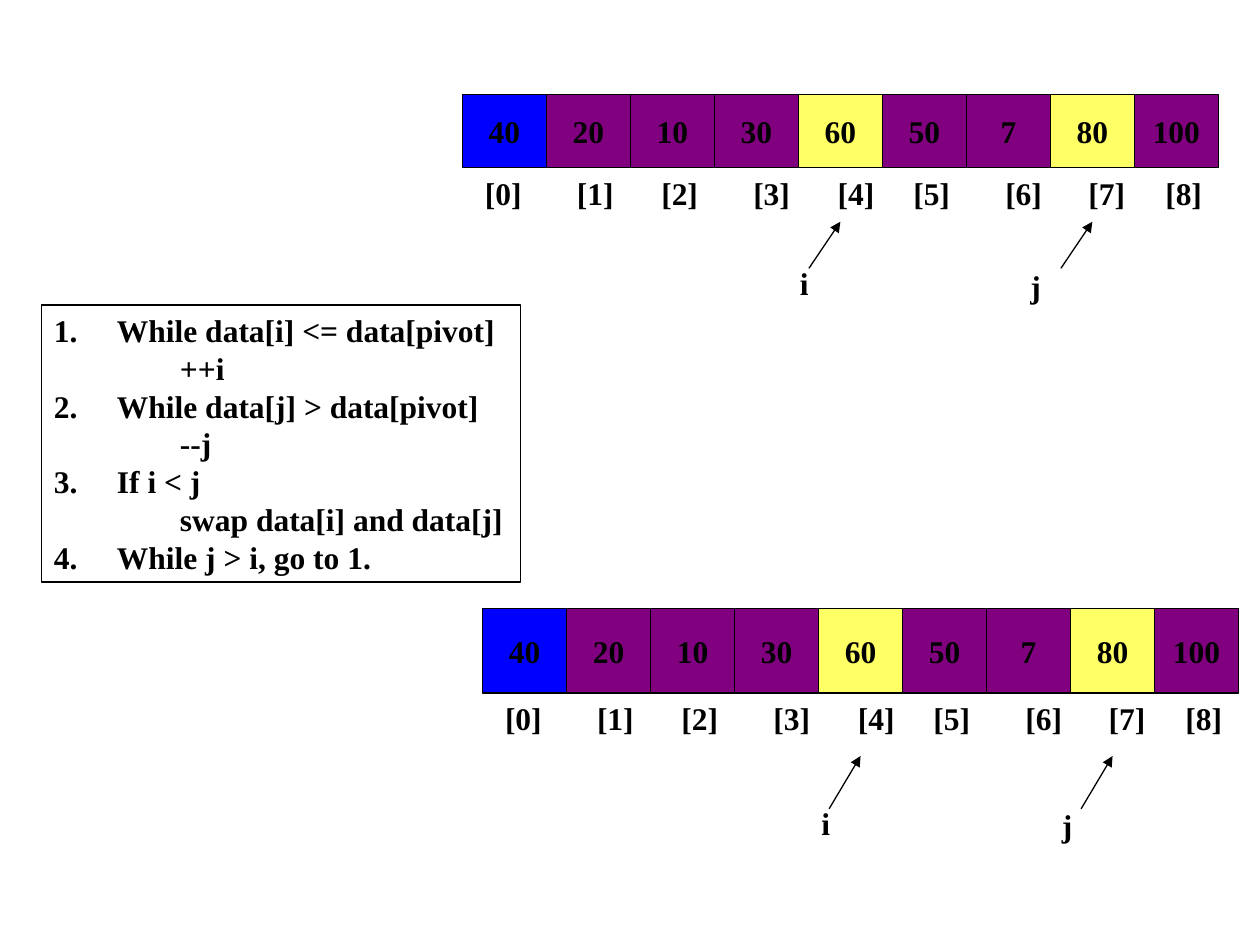
import pptx
import pptx.dml.color
import pptx.enum.shapes
import pptx.enum.text
import pptx.oxml.ns
import pptx.util
from lxml import etree

Inches = pptx.util.Inches
RECTANGLE = pptx.enum.shapes.MSO_SHAPE.RECTANGLE
ALIGN = pptx.enum.text.PP_ALIGN
ANCHOR = pptx.enum.text.MSO_ANCHOR

VALUES = ["40", "20", "10", "30", "60", "50", "7", "80", "100"]
PIVOT = 0
POINTERS = {"i": 4, "j": 7}
STEPS = [
    (0, "While data[i] <= data[pivot]"),
    (1, "++i"),
    (0, "While data[j] > data[pivot]"),
    (1, "--j"),
    (0, "If i < j"),
    (1, "swap data[i] and data[j]"),
    (0, "While j > i, go to 1."),
]
# name_at: left and top of each pointer's name
ARRAYS = [
    {"left": 3.67, "top": 0.75, "height": 0.58, "index_left": 3.75,
     "arrow_from": 2.13, "arrow_to": 1.76,
     "name_at": {"i": (6.25, 2.05), "j": (8.08, 2.07)}},
    {"left": 3.83, "top": 4.83, "height": 0.67, "index_left": 3.91,
     "arrow_from": 6.42, "arrow_to": 6.0,
     "name_at": {"i": (6.42, 6.33), "j": (8.33, 6.35)}},
]
INDEX_TABS = [0.73, 1.4, 2.13, 2.8, 3.4, 4.13, 4.79, 5.4]
CELL_WIDTH = 2 / 3
ARROW_RUN = 0.25
BLACK, BLUE, PURPLE, YELLOW = "000000", "0000FF", "800080", "FFFF66"
FONT = {"name": "Times New Roman", "size": pptx.util.Pt(18), "bold": True}


def rgb(color):
    return pptx.dml.color.RGBColor.from_string(color)


def add_xml(parent, tag, **attributes):
    return etree.SubElement(parent, pptx.oxml.ns.qn(tag), attributes)


def set_font(paragraph):
    for key, value in FONT.items():
        setattr(paragraph.font, key, value)
    paragraph.font.color.rgb = rgb(BLACK)


def outline(shape):
    shape.line.color.rgb = rgb(BLACK)
    shape.line.width = pptx.util.Pt(0.75)


def add_label(shapes, text, left, top, width, tabs=()):
    frame = shapes.add_textbox(Inches(left), Inches(top), Inches(width), Inches(0.4)).text_frame
    frame.word_wrap = True
    paragraph = frame.paragraphs[0]
    paragraph.text = text
    if tabs:
        frame.margin_right = 0
        stops = add_xml(paragraph._p.get_or_add_pPr(), "a:tabLst")
        for stop in tabs:
            add_xml(stops, "a:tab", pos=str(Inches(stop)), algn="l")
    set_font(paragraph)


def add_cell(shapes, index, value, array):
    left = array["left"] + index * CELL_WIDTH
    cell = shapes.add_shape(RECTANGLE, Inches(left), Inches(array["top"]),
                            Inches(CELL_WIDTH), Inches(array["height"]))
    cell.shadow.inherit = False
    cell.fill.solid()
    color = BLUE if index == PIVOT else YELLOW if index in POINTERS.values() else PURPLE
    cell.fill.fore_color.rgb = rgb(color)
    outline(cell)
    frame = cell.text_frame
    frame.word_wrap = False
    frame.vertical_anchor = ANCHOR.MIDDLE
    frame.text = value
    frame.paragraphs[0].alignment = ALIGN.CENTER
    set_font(frame.paragraphs[0])


def add_arrow(shapes, index, array):
    tip = array["left"] + (index + 0.5) * CELL_WIDTH
    arrow = shapes.add_connector(
        pptx.enum.shapes.MSO_CONNECTOR.STRAIGHT,
        Inches(tip - ARROW_RUN), Inches(array["arrow_from"]),
        Inches(tip), Inches(array["arrow_to"]))
    outline(arrow)
    add_xml(arrow.line._get_or_add_ln(), "a:tailEnd", type="triangle")
    add_xml(arrow._element.spPr, "a:effectLst")


def add_array(slide, array):
    shapes = slide.shapes.add_group_shape().shapes
    for index, value in enumerate(VALUES):
        add_cell(shapes, index, value, array)
    for name, index in POINTERS.items():
        add_label(shapes, name, *array["name_at"][name], 0.42)
        add_arrow(shapes, index, array)
    indices = "\t".join(f"[{index}]" for index in range(len(VALUES)))
    add_label(shapes, indices, array["index_left"], array["top"] + array["height"],
              5.88, INDEX_TABS)


def add_algorithm(slide):
    box = slide.shapes.add_shape(RECTANGLE, Inches(0.33), Inches(2.42), Inches(3.8), Inches(2.2))
    box.shadow.inherit = False
    box.fill.background()
    outline(box)
    frame = box.text_frame
    frame.word_wrap = True
    frame.vertical_anchor = ANCHOR.TOP
    frame.text = "\n".join(text for _, text in STEPS)
    for paragraph, (level, _) in zip(frame.paragraphs, STEPS):
        paragraph.level = level
        paragraph.alignment = ALIGN.LEFT
        properties = paragraph._p.get_or_add_pPr()
        properties.set("marL", str(Inches(1 if level else 0.5)))
        properties.set("indent", str(Inches(0 if level else -0.5)))
        if level:
            add_xml(properties, "a:buNone")
        else:
            add_xml(properties, "a:buAutoNum", type="arabicPeriod")
        set_font(paragraph)


def main():
    presentation = pptx.Presentation()
    presentation.slide_width, presentation.slide_height = Inches(10), Inches(7.5)
    slide = presentation.slides.add_slide(presentation.slide_layouts[6])
    before, after = ARRAYS
    add_array(slide, before)
    add_algorithm(slide)
    add_array(slide, after)
    presentation.save("out.pptx")


if __name__ == "__main__":
    main()
